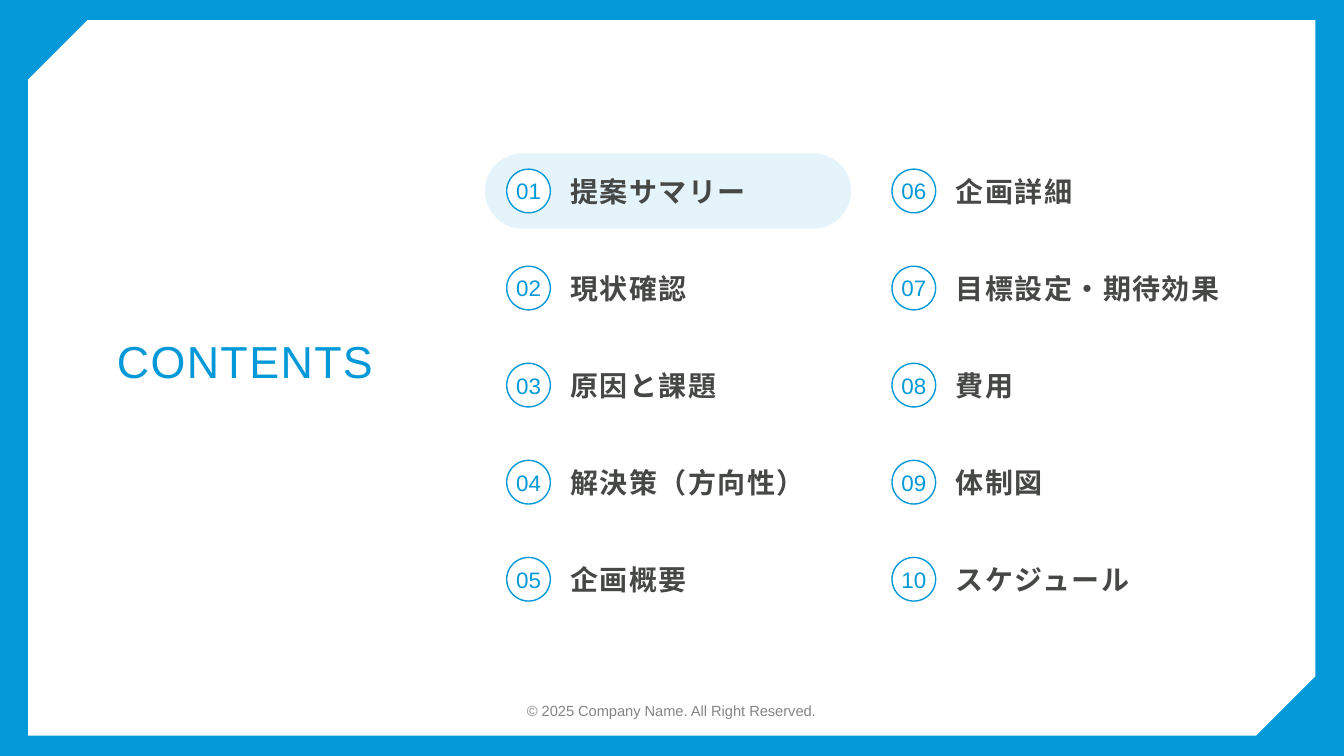
from dataclasses import dataclass

from lxml.etree import SubElement
from pptx import Presentation
from pptx.dml.color import RGBColor
from pptx.enum.shapes import MSO_SHAPE
from pptx.enum.text import MSO_ANCHOR, MSO_AUTO_SIZE, PP_ALIGN
from pptx.oxml.ns import qn
from pptx.util import Cm, Pt


@dataclass(frozen=True)
class Theme:
    accent: RGBColor = RGBColor(0x03, 0x99, 0xD8)
    paper: RGBColor = RGBColor(0xFF, 0xFF, 0xFF)
    ink: RGBColor = RGBColor(0x46, 0x48, 0x46)
    muted: RGBColor = RGBColor(0x85, 0x85, 0x85)
    latin: str = "Arial"
    japanese: str = "Noto Sans CJK JP"
    title_size: float = 32
    topic_size: float = 20
    number_size: float = 16
    footer_size: float = 10.5


THEME = Theme()
TOPICS = [
    "提案サマリー", "現状確認", "原因と課題", "解決策（方向性）", "企画概要",
    "企画詳細", "目標設定・期待効果", "費用", "体制図", "スケジュール",
]
CURRENT_TOPIC = 0
ROWS, COLUMNS = 5, 2


def write(frame, text, *, size, color, font=THEME.latin, bold=False, tracking=0,
          align=PP_ALIGN.LEFT, anchor=MSO_ANCHOR.MIDDLE, line_spacing=None, inset=0):
    """Fill a text frame with one formatted paragraph."""
    frame.margin_left = frame.margin_right = 0
    frame.margin_top = frame.margin_bottom = Cm(inset)
    frame.vertical_anchor = anchor
    paragraph = frame.paragraphs[0]
    paragraph.alignment = align
    if line_spacing:
        paragraph.line_spacing = line_spacing
    run = paragraph.add_run()
    run.text = text
    run.font.size = Pt(size)
    run.font.bold = bold
    run.font.color.rgb = color
    run.font.name = font
    properties = run.font._element
    SubElement(properties, qn("a:ea")).set("typeface", font)
    if tracking:
        properties.set("spc", str(tracking * 100))


def add_label(slide, box, text, **style):
    label = slide.shapes.add_textbox(*map(Cm, box))
    label.text_frame.word_wrap = False
    label.text_frame.auto_size = MSO_AUTO_SIZE.SHAPE_TO_FIT_TEXT
    write(label.text_frame, text, **style)


def add_panel(slide, kind, box, fill, line=None):
    panel = slide.shapes.add_shape(kind, *map(Cm, box))
    panel.shadow.inherit = False
    panel.fill.solid()
    panel.fill.fore_color.rgb = fill
    if line:
        panel.line.color.rgb = line
        panel.line.width = Pt(1)
    else:
        panel.line.fill.background()
    return panel


def add_frame(slide, box):
    # Coloured border around a sheet with two cut corners
    slide.background.fill.solid()
    slide.background.fill.fore_color.rgb = THEME.accent
    sheet = add_panel(slide, MSO_SHAPE.SNIP_2_DIAG_RECTANGLE, box, THEME.paper)
    sheet.adjustments[0] = 0.083
    sheet.adjustments[1] = 0


def add_title(slide, box):
    add_label(slide, box, "CONTENTS", size=THEME.title_size, color=THEME.accent,
              tracking=1, align=PP_ALIGN.CENTER, anchor=MSO_ANCHOR.BOTTOM,
              line_spacing=0.9)


def add_footer(slide, box):
    add_label(slide, box, "© 2025 Company Name. All Right Reserved.",
              size=THEME.footer_size, color=THEME.muted, align=PP_ALIGN.CENTER)


def add_highlight(slide, box):
    highlight = add_panel(slide, MSO_SHAPE.ROUNDED_RECTANGLE, box, THEME.accent)
    highlight.adjustments[0] = 0.5
    tint = highlight._element.spPr.find(qn("a:solidFill"))[0]
    SubElement(tint, qn("a:alpha")).set("val", "10000")


def add_topic(slide, box, index, topic):
    left, top, width, height = box
    middle = top + height / 2
    bar_height, badge_size = 1.9, 1.1
    label_height, character_width = 0.86, 0.75

    if index == CURRENT_TOPIC:
        add_highlight(slide, (left, middle - bar_height / 2, width - 0.48, bar_height))

    # Number badge
    badge = add_panel(slide, MSO_SHAPE.OVAL,
                      (left + 0.55, middle - badge_size / 2, badge_size, badge_size),
                      THEME.paper, THEME.accent)
    write(badge.text_frame, f"{index + 1:02}", size=THEME.number_size,
          color=THEME.accent, align=PP_ALIGN.CENTER, inset=0.13)

    # Topic name
    add_label(slide, (left + 2.16, middle - label_height / 2,
                      len(topic) * character_width, label_height),
              topic, size=THEME.topic_size, color=THEME.ink,
              font=THEME.japanese, bold=True, tracking=1)


def add_topics(slide, box):
    left, top, width, height = box
    column_width, row_height = width / COLUMNS, height / ROWS
    for index, topic in enumerate(TOPICS):
        column, row = divmod(index, ROWS)
        cell = (left + column * column_width, top + row * row_height,
                column_width, row_height)
        add_topic(slide, cell, index, topic)


def add_contents_slide(deck):
    slide = deck.slides.add_slide(deck.slide_layouts[6])
    add_frame(slide, (0.71, 0.51, 32.44, 18.03))
    add_footer(slide, (13.13, 17.68, 7.59, 0.46))
    add_title(slide, (2.9, 8.56, 6.55, 1.22))
    add_topics(slide, (12.22, 3.59, 19.42, 12.23))


def main():
    deck = Presentation()
    deck.slide_width, deck.slide_height = Cm(33.87), Cm(19.05)
    add_contents_slide(deck)
    deck.save("out.pptx")


if __name__ == "__main__":
    main()
